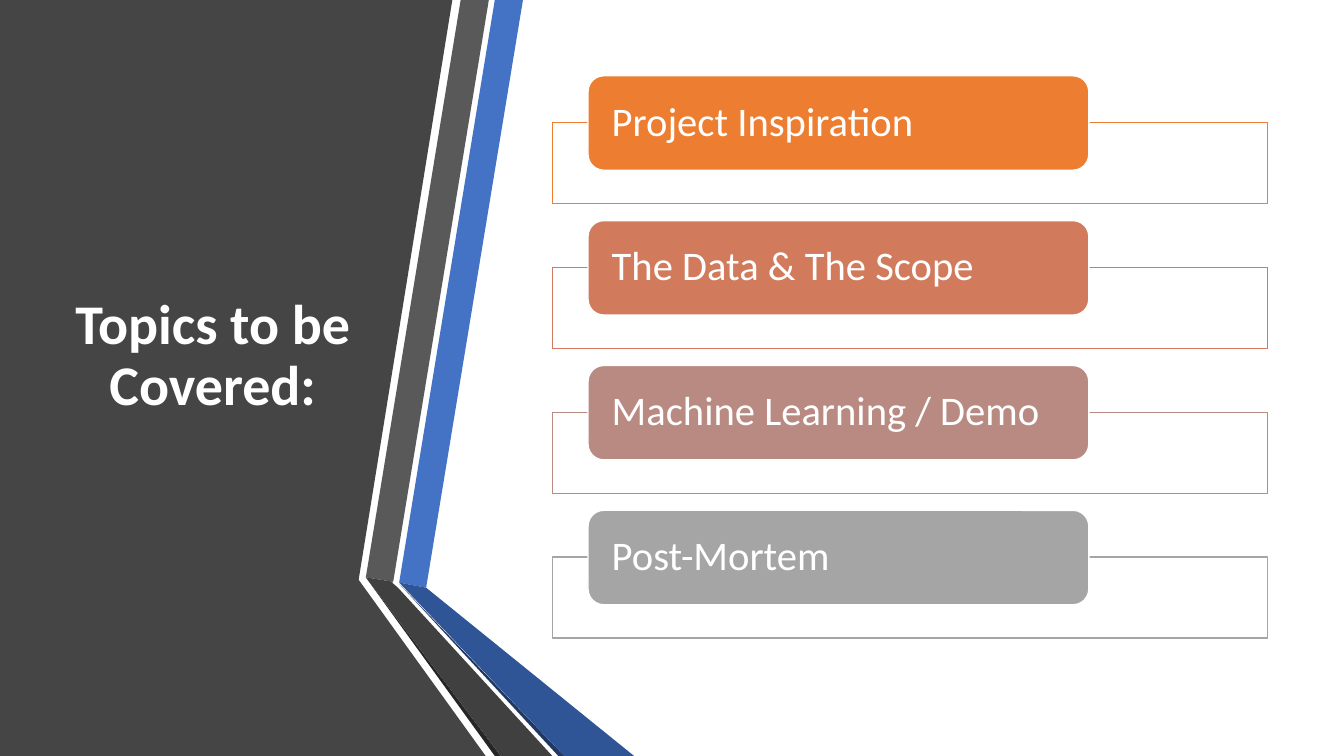
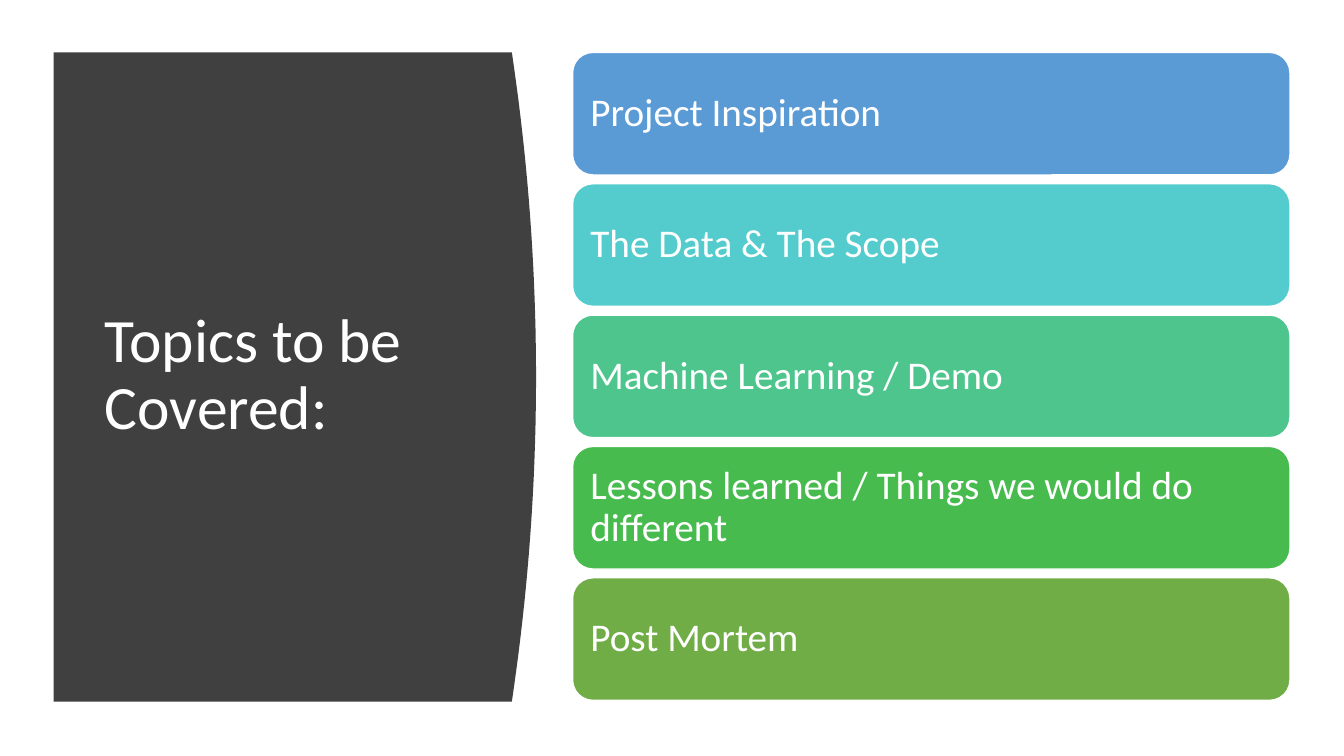
import pptx
import pptx.util
import pptx.dml.color
import pptx.enum.shapes
import pptx.enum.text

Cm = pptx.util.Cm
Shapes = pptx.enum.shapes.MSO_SHAPE
Align = pptx.enum.text.PP_ALIGN

FONT = "Calibri"
WHITE = "FFFFFF"
TITLE = "Topics to be Covered:"
PAGE_WIDTH, PAGE_HEIGHT = 33.87, 19.05

RIBBONS = [
    ("454545", [(0, 0), (11.4, 0), (9.04, 14.61), (12.24, 19.05), (0, 19.05)]),
    ("4472C4", [(10.06, 14.68), (10.74, 14.81), (13.18, 0), (12.47, 0)]),
    ("595959", [(12.32, 0), (11.61, 0), (9.22, 14.55), (9.91, 14.66)]),
    ("262626", [(9.22, 14.55), (12.47, 19.05), (12.62, 19.05)]),
    ("203864", [(10.06, 14.71), (14.07, 19.05), (14.22, 19.05)]),
    ("2F5597", [(10.06, 14.68), (14.22, 19.05), (15.98, 19.05), (10.74, 14.81)]),
    ("404040", [(9.22, 14.55), (12.62, 19.05), (13.92, 19.05), (10.03, 14.81),
                (9.88, 14.68), (9.91, 14.66)]),
]
FRAMED_TOPICS = [
    ("Project Inspiration", "ED7D31"),
    ("The Data & The Scope", "D17B5C"),
    ("Machine Learning / Demo", "B98A82"),
    ("Post-Mortem", "A5A5A5"),
]
STACKED_TOPICS = [
    ("Project Inspiration", "5B9BD5"),
    ("The Data & The Scope", "54CCCD"),
    ("Machine Learning / Demo", "4DC58D"),
    ("Lessons learned / Things we would do different", "48BB4F"),
    ("Post Mortem", "70AD47"),
]


def color(value):
    return pptx.dml.color.RGBColor.from_string(value)


def paint(shape, fill, line=None):
    shape.shadow.inherit = False
    shape.fill.solid()
    shape.fill.fore_color.rgb = color(fill)
    if line:
        shape.line.color.rgb = color(line)
        shape.line.width = pptx.util.Pt(1)
    else:
        shape.line.fill.background()


def write(shape, text, size, bold=False, align=Align.LEFT, inset=(0.25, 0.13)):
    frame = shape.text_frame
    frame.word_wrap = True
    frame.vertical_anchor = pptx.enum.text.MSO_ANCHOR.MIDDLE
    frame.margin_left = frame.margin_right = Cm(inset[0])
    frame.margin_top = frame.margin_bottom = Cm(inset[1])
    para = frame.paragraphs[0]
    para.alignment = align
    para.line_spacing = 0.9
    span = para.add_run()
    span.text = text
    span.font.name = FONT
    span.font.size = pptx.util.Pt(size)
    span.font.bold = bold
    span.font.color.rgb = color(WHITE)


def add_box(page, kind, place, fill, line):
    box = page.shapes.add_shape(kind, *map(Cm, place))
    paint(box, fill, line)
    return box


def add_outline(page, points, fill):
    corners = [(Cm(x), Cm(y)) for x, y in points]
    builder = page.shapes.build_freeform(*corners[0])
    builder.add_line_segments(corners[1:], close=True)
    paint(builder.convert_to_shape(), fill)


def add_title(page, place, size, **look):
    write(page.shapes.add_textbox(*map(Cm, place)), TITLE, size, **look)


def add_topic(page, place, topic, size, inset):
    text, fill = topic
    bar = add_box(page, Shapes.ROUNDED_RECTANGLE, place, fill, WHITE)
    write(bar, text, size, inset=inset)


def build_ribbon_page(page):
    for fill, points in RIBBONS:
        add_outline(page, points, fill)
    add_title(page, (1.5, 1.91, 7.72, 14.17), 40, bold=True, align=Align.CENTER)
    pitch = 3.65
    for index, topic in enumerate(FRAMED_TOPICS):
        top = 1.91 + index * pitch
        add_box(page, Shapes.RECTANGLE, (13.92, top + 1.18, 18.03, 2.04), WHITE, topic[1])
        add_topic(page, (14.82, top, 12.62, 2.38), topic, 29, (0.48, 0))


def build_curved_page(page):
    left, edge, bulge, top, bottom = 1.35, 12.9, 0.61, 1.32, 17.68
    steps = 40
    curve = []
    for step in range(steps + 1):
        part = step / steps
        curve.append((edge + bulge * 4 * part * (1 - part), top + (bottom - top) * part))
    add_outline(page, [(left, top), *curve, (left, bottom)], "404040")
    add_title(page, (2.39, 2.82, 9.5, 13.31), 44)
    pitch = 3.31
    for index, topic in enumerate(STACKED_TOPICS):
        add_topic(page, (14.43, top + index * pitch, 18.08, 3.09), topic, 28, (0.3, 0.3))


def main():
    deck = pptx.Presentation()
    deck.slide_width, deck.slide_height = Cm(PAGE_WIDTH), Cm(PAGE_HEIGHT)
    for build in (build_ribbon_page, build_curved_page):
        build(deck.slides.add_slide(deck.slide_layouts[6]))
    deck.save("out.pptx")


if __name__ == "__main__":
    main()
